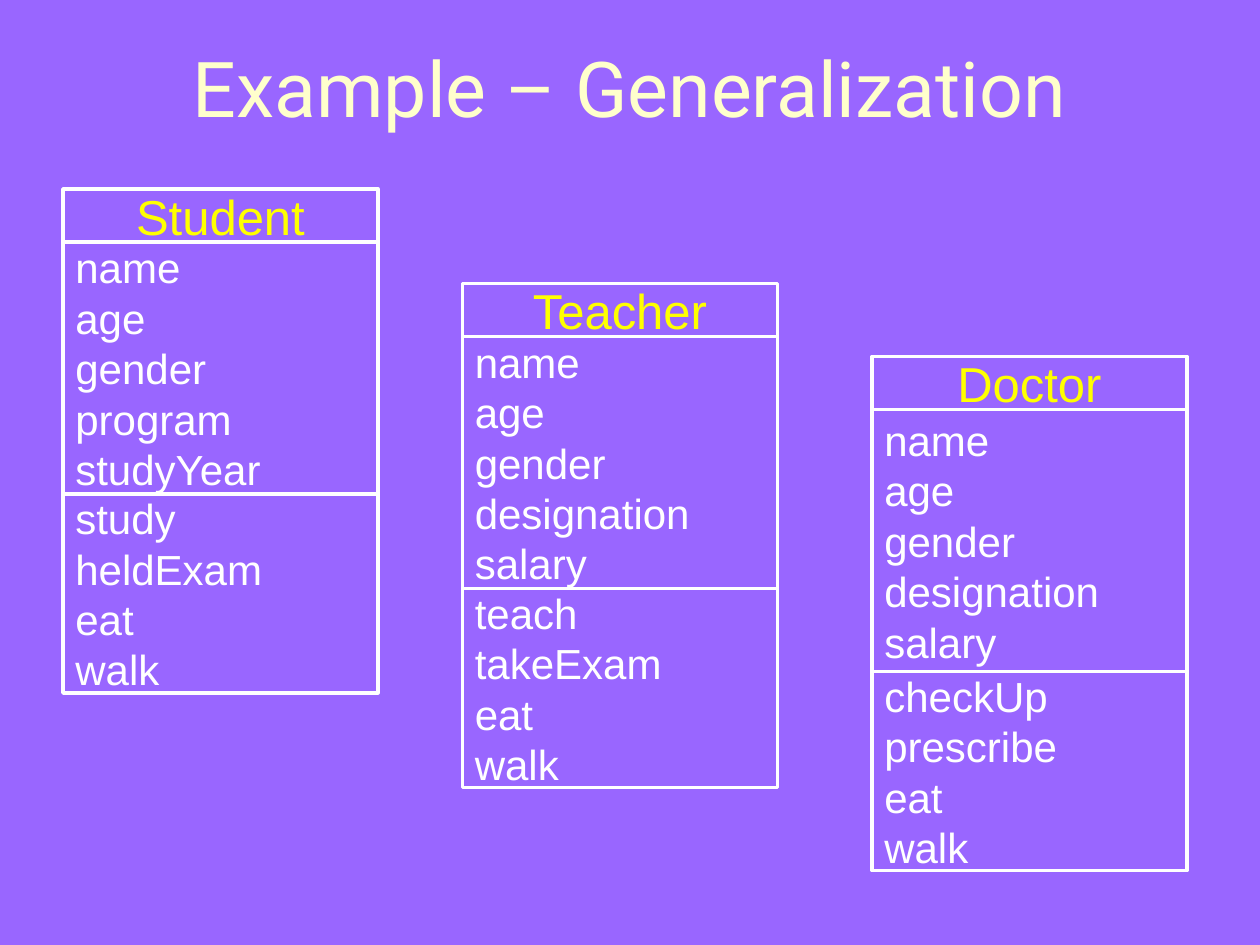
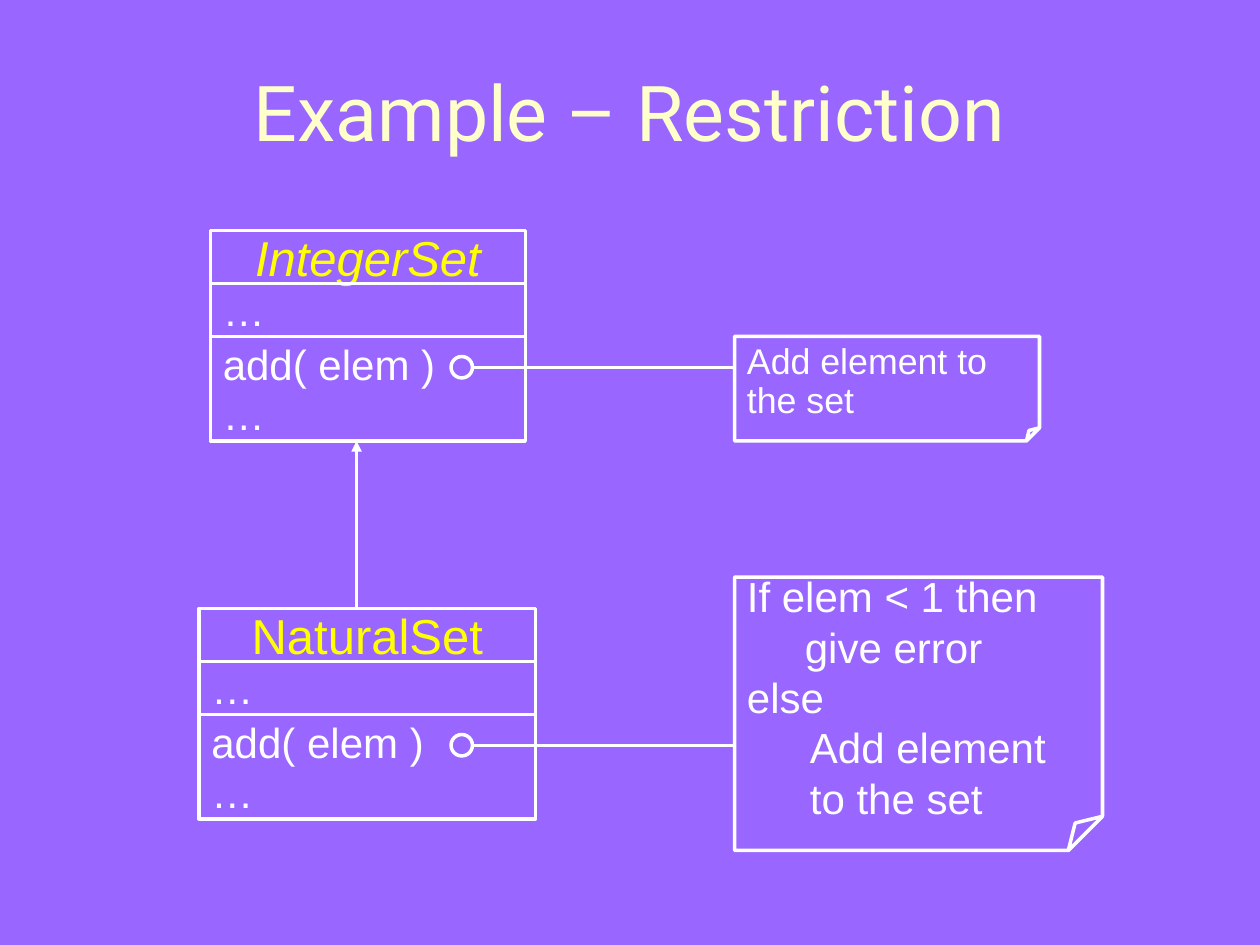
from lxml import etree
from pptx import Presentation
from pptx.dml.color import RGBColor
from pptx.enum.shapes import MSO_CONNECTOR, MSO_SHAPE
from pptx.enum.text import MSO_ANCHOR, PP_ALIGN
from pptx.oxml.ns import qn
from pptx.util import Inches, Pt

COLORS = {"background": "9966FF", "title": "FFFFCC", "heading": "FFFF00",
          "text": "FFFFFF", "line": "FFFFFF"}
TITLE_FONT, BODY_FONT = "Roboto", "Arial"
TITLE_SIZE, HEADING_SIZE, BODY_SIZE = 44, 28, 24
HEADING_H = 0.42
DOT = 0.17

# Classes: left, top, width, name, italic, then (height, lines) per compartment
GENERALIZATION = {
    "title": "Example – Generalization", "title_h": 0.87,
    "classes": [
        (0.5, 1.5, 2.5, "Student", False,
         [(2, ["name", "age", "gender", "program", "studyYear"]),
          (1.58, ["study", "heldExam", "eat", "walk"])]),
        (3.67, 2.25, 2.5, "Teacher", False,
         [(2, ["name", "age", "gender", "designation", "salary"]),
          (1.58, ["teach", "takeExam", "eat", "walk"])]),
        (6.92, 2.83, 2.5, "Doctor", False,
         [(2.08, ["name", "age", "gender", "designation", "salary"]),
          (1.58, ["checkUp", "prescribe", "eat", "walk"])]),
    ],
}
SET_PARTS = [(HEADING_H, ["…"]), (0.83, ["add( elem )", "…"])]
RESTRICTION = {
    "title": "Example – Restriction", "title_h": 1.25,
    "classes": [(1.67, 1.83, 2.5, "IntegerSet", True, SET_PARTS),
                (1.58, 4.83, 2.67, "NaturalSet", False, SET_PARTS)],
    # Notes: left, top, width, height, size, line pitch, lines, indents, dot top
    "notes": [
        (5.83, 2.67, 2.42, 0.83, 20.4, 1.08,
         ["Add element to the set"], [0], 2.83),
        (5.83, 4.58, 2.92, 2.17, BODY_SIZE, 1.2,
         ["If elem < 1 then", "give error", "else", "Add element to the set"],
         [0, 0.46, 0, 0.5], 5.83),
    ],
    "dot_left": 3.58,
    "inheritance": (2.83, 4.83, 2.83, 3.5),
}


def rgb(name):
    return RGBColor.from_string(COLORS[name])


def style_run(r, font, size, color, italic=False):
    r.font.name, r.font.size = font, Pt(size)
    r.font.color.rgb = rgb(color)
    if italic:
        r.font.italic = True


def add_outline(slide, kind, x, y, w, h):
    sp = slide.shapes.add_shape(kind, Inches(x), Inches(y), Inches(w), Inches(h))
    sp.shadow.inherit = False
    sp.fill.background()
    sp.line.color.rgb = rgb("line")
    sp.line.width = Pt(2)
    return sp


def write_lines(sp, lines, size=BODY_SIZE, color="text", align=PP_ALIGN.LEFT,
                italic=False, pitch=1.2, indents=None):
    tf = sp.text_frame
    tf.word_wrap = True
    tf.vertical_anchor = MSO_ANCHOR.MIDDLE
    tf.text = "\n".join(lines)
    for p, indent in zip(tf.paragraphs, indents or [0] * len(lines)):
        p.alignment = align
        p.line_spacing = Pt(round(size * pitch, 1))
        if indent:
            p._p.get_or_add_pPr().set("marL", str(Inches(indent)))
        for r in p.runs:
            style_run(r, BODY_FONT, size, color, italic)


def add_class(slide, x, y, w, name, italic, parts):
    sp = add_outline(slide, MSO_SHAPE.RECTANGLE, x, y, w, HEADING_H)
    write_lines(sp, [name], HEADING_SIZE, "heading", PP_ALIGN.CENTER, italic)
    y += HEADING_H
    for h, lines in parts:
        write_lines(add_outline(slide, MSO_SHAPE.RECTANGLE, x, y, w, h), lines)
        y += h


def add_line(slide, x1, y1, x2, y2, arrow=False):
    line = slide.shapes.add_connector(
        MSO_CONNECTOR.STRAIGHT, Inches(x1), Inches(y1), Inches(x2), Inches(y2))
    line.line.color.rgb = rgb("line")
    line.line.width = Pt(2)
    if arrow:
        ln = line._element.spPr.find(qn("a:ln"))
        etree.SubElement(ln, qn("a:tailEnd"), type="triangle")
    etree.SubElement(line._element.spPr, qn("a:effectLst"))


def add_note(slide, dot_left, x, y, w, h, size, pitch, lines, indents, dot_top):
    note = add_outline(slide, MSO_SHAPE.FOLDED_CORNER, x, y, w, h)
    # The size of the fold has no public setter for this preset
    geom = note._element.spPr.find(qn("a:prstGeom"))
    guides = geom.find(qn("a:avLst"))
    if guides is None:
        guides = etree.SubElement(geom, qn("a:avLst"))
    for guide in list(guides):
        guides.remove(guide)
    etree.SubElement(guides, qn("a:gd"), name="adj", fmla="val 12500")
    write_lines(note, lines, size, pitch=pitch, indents=indents)
    # The dot marks the operation that the note explains
    add_outline(slide, MSO_SHAPE.OVAL, dot_left, dot_top, DOT, DOT)
    mid = dot_top + DOT / 2
    add_line(slide, dot_left + DOT, mid, x, mid)


def add_slide(prs, content):
    slide = prs.slides.add_slide(prs.slide_layouts[5])
    title = slide.shapes.title
    title.left, title.top = Inches(0.33), Inches(0.25)
    title.width, title.height = Inches(9.34), Inches(content["title_h"])
    tf = title.text_frame
    tf.text = content["title"]
    tf.vertical_anchor = MSO_ANCHOR.MIDDLE
    p = tf.paragraphs[0]
    p.alignment = PP_ALIGN.CENTER
    style_run(p.runs[0], TITLE_FONT, TITLE_SIZE, "title")
    for box in content["classes"]:
        add_class(slide, *box)
    return slide


def main():
    prs = Presentation()
    prs.slide_width, prs.slide_height = Inches(10), Inches(7.5)
    fill = prs.slide_master.background.fill
    fill.solid()
    fill.fore_color.rgb = rgb("background")

    add_slide(prs, GENERALIZATION)

    slide = add_slide(prs, RESTRICTION)
    add_line(slide, *RESTRICTION["inheritance"], arrow=True)
    for note in RESTRICTION["notes"]:
        add_note(slide, RESTRICTION["dot_left"], *note)

    prs.save("out.pptx")


if __name__ == "__main__":
    main()
